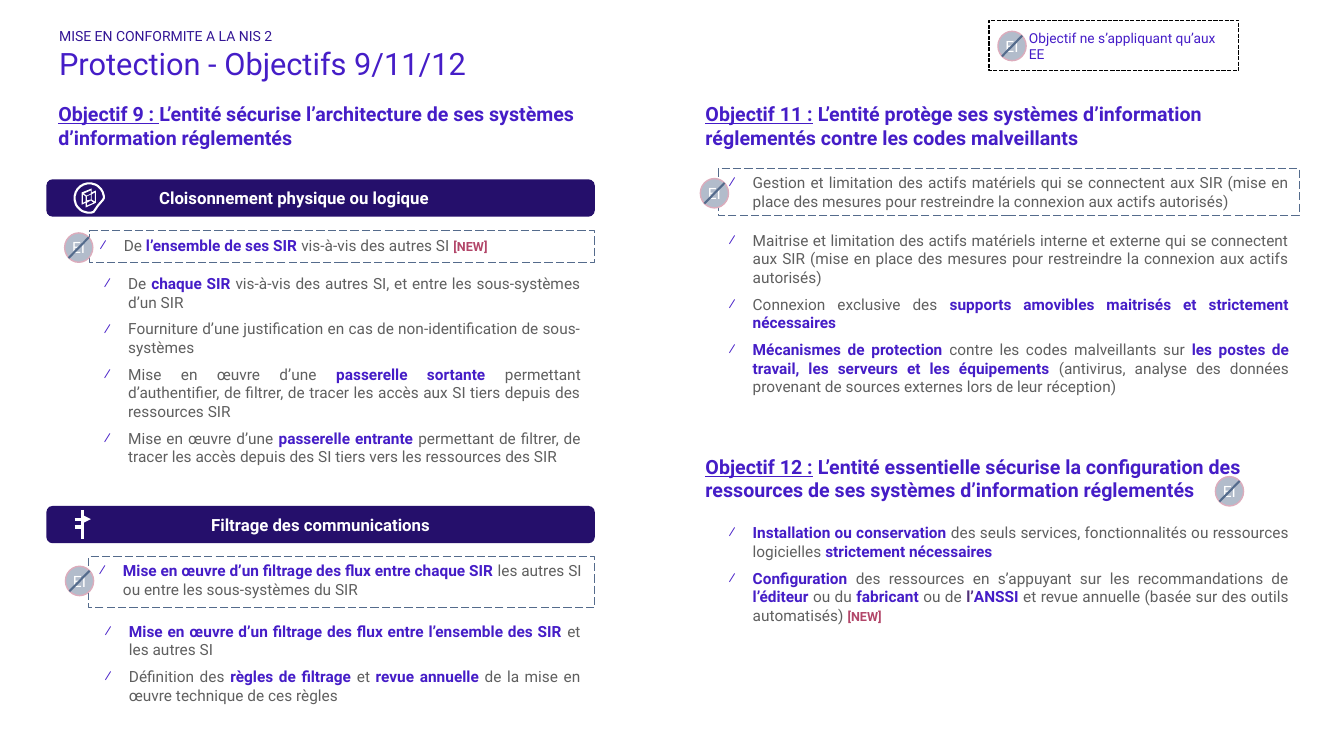
from math import cos, sin, radians
from lxml import etree
from pptx import Presentation
from pptx.dml.color import RGBColor
from pptx.enum.dml import MSO_LINE as Dash
from pptx.enum.shapes import MSO_CONNECTOR as Conn, MSO_SHAPE as Form
from pptx.enum.text import MSO_ANCHOR as Anchor, MSO_AUTO_SIZE as Fit, PP_ALIGN as Align
from pptx.oxml.ns import qn
from pptx.util import Cm, Pt

VIOLET = RGBColor(0x45, 0x1D, 0xC7)
INDIGO = RGBColor(0x33, 0x15, 0x95)
NAVY = RGBColor(0x25, 0x0F, 0x6B)
PLUM = RGBColor(0x50, 0x30, 0x78)
ROSE = RGBColor(0xB2, 0x46, 0x69)
PINK = RGBColor(0xDC, 0xAC, 0xBC)
GREY = RGBColor(0x5F, 0x5F, 0x5F)
STEEL = RGBColor(0x54, 0x6B, 0x8C)
MIST = RGBColor(0xB2, 0xBC, 0xCB)
WHITE = RGBColor(0xFF, 0xFF, 0xFF)
BLACK = RGBColor(0, 0, 0)

# Content: places are (left, top, width, height) in cm; *stars* mark bold text
TITLE = "Protection - Objectifs 9/11/12"
TOPIC = "MISE EN CONFORMITE A LA NIS 2"
LEGEND = "Objectif ne s’appliquant qu’aux EE"
HEADS = [
    ((1.17, 2.44, 13.82, 1.45), 0.3, "Objectif 9 : ",
     "L’entité sécurise l’architecture de ses systèmes d’information réglementés"),
    ((17.4, 2.44, 15.62, 1.45), 0.38, "Objectif 11 :",
     " L’entité protège ses systèmes d’information réglementés contre les codes malveillants"),
    ((17.4, 11.33, 15.75, 1.45), 0.38, "Objectif 12 :",
     " L’entité essentielle sécurise la configuration des ressources de ses "
     "systèmes d’information réglementés"),
]
BANNERS = [
    (4.52, "Cloisonnement physique ou logique", Align.LEFT),
    (12.75, "Filtrage des communications", Align.CENTER),
]
FRAMES = [
    ((2.26, 5.82, 12.73, 0.79), Align.LEFT,
     "De *l’ensemble de ses SIR *vis-à-vis des autres SI *[NEW]*"),
    ((2.24, 14.02, 12.75, 1.3), Align.LEFT,
     "*Mise en œuvre d’un filtrage des flux entre chaque SIR *les autres SI "
     "ou entre les sous-systèmes du SIR"),
    ((18.11, 4.24, 14.63, 1.19), Align.JUSTIFY,
     "Gestion et limitation des actifs matériels qui se connectent aux SIR (mise en "
     "place des mesures pour restreindre la connexion aux actifs autorisés)"),
]
LISTS = [
    ((2.24, 6.78, 12.78, 4.65), 0.38, [
        "De *chaque SIR *vis-à-vis des autres SI, et entre les sous-systèmes d’un SIR",
        "Fourniture d’une justification en cas de non-identification de sous-systèmes",
        "Mise en œuvre d’une *passerelle sortante *permettant d’authentifier, de filtrer, "
        "de tracer les accès aux SI tiers depuis des ressources SIR",
        "Mise en œuvre d’une *passerelle entrante *permettant de filtrer, de tracer "
        "les accès depuis des SI tiers vers les ressources des SIR"]),
    ((2.26, 15.54, 12.75, 2.36), 0.38, [
        "*Mise en œuvre d’un filtrage des flux entre l’ensemble des SIR *et les autres SI",
        "Définition des *règles de filtrage *et *revue annuelle *de la mise en œuvre "
        "technique de ces règles"]),
    ((18.11, 5.69, 14.63, 4.45), 0.25, [
        "Maitrise et limitation des actifs matériels interne et externe qui se connectent "
        "aux SIR (mise en place des mesures pour restreindre la connexion aux actifs "
        "autorisés)",
        "Connexion exclusive des *supports amovibles maitrisés et strictement nécessaires*",
        "*Mécanismes de protection *contre les codes malveillants sur *les postes de "
        "travail, les serveurs et les équipements *(antivirus, analyse des données "
        "provenant de sources externes lors de leur réception)"]),
    ((18.11, 13.06, 14.63, 2.9), 0.25, [
        "*Installation ou conservation *des seuls services, fonctionnalités ou ressources "
        "logicielles *strictement nécessaires*",
        "*Configuration *des ressources en s’appuyant sur les recommandations de "
        "*l’éditeur *ou du *fabricant *ou de *l’**ANSSI *et revue annuelle (basée sur "
        "des outils automatisés) *[NEW]*"]),
]
SPECIAL = {"[NEW]": (9, ROSE), "l’": (11, PLUM)}
BADGES = [(1.63, 5.87), (1.65, 14.27), (17.65, 4.5), (30.63, 12.01), (25.15, 0.79)]
# Icon outlines, in hundredths of a cm
CUBE = [
    [(25, 10), (25, 0), (0, 10), (0, 41), (10, 36), (10, 48), (36, 36), (36, 5)],
    [(33, 10), (33, 33), (25, 28), (25, 15)],
    [(23, 13), (13, 18), (5, 13), (23, 5)],
    [(23, 15), (23, 28), (13, 30), (13, 20)],
    [(3, 36), (3, 15), (10, 20), (10, 33)],
    [(13, 36), (23, 30), (30, 36), (13, 43)],
]
RING = [[(37 * cos(radians(a)), 37 * sin(radians(a))) for a in range(0, -293, -6)]
        + [(22, 19), (35, 4)]]
POST = [(2.08, 12.85, 2.08, 13.06), (2.08, 13.13, 2.08, 13.59), (1.88, 13.28, 2.08, 13.28)]
ARROW = (1.88, 13.08, 2.29, 13.08)

deck = Presentation()
deck.slide_width, deck.slide_height = Cm(33.87), Cm(19.05)
slide = deck.slides.add_slide(deck.slide_layouts[1])
shapes = slide.shapes


def cms(*vals):
    return [Cm(v) for v in vals]


def setup(frame, side=0.25, edge=0.13, **more):
    vals = dict(word_wrap=True, auto_size=Fit.NONE, vertical_anchor=Anchor.TOP,
                margin_left=Cm(side), margin_right=Cm(side),
                margin_top=Cm(edge), margin_bottom=Cm(edge))
    for key, val in (vals | more).items():
        setattr(frame, key, val)
    return frame


def add_run(para, text, size, color, **more):
    run = para.add_run()
    run.text = text
    for key, val in dict(name="Roboto", size=Pt(size), **more).items():
        setattr(run.font, key, val)
    run.font.color.rgb = color


def add_text(place, side, edge=0.13, **more):
    box = shapes.add_textbox(*cms(*place))
    return setup(box.text_frame, side, edge, **more)


def paint(shape, fill=None, line=None, width=1, dash=None):
    shape.shadow.inherit = False
    if fill is None:
        shape.fill.background()
    else:
        shape.fill.solid()
        shape.fill.fore_color.rgb = fill
    if line is None:
        shape.line.fill.background()
    else:
        shape.line.color.rgb = line
        shape.line.width = Pt(width)
        if dash:
            shape.line.dash_style = dash
    return shape


def add_line(home, ends, color, width):
    line = home.add_connector(Conn.STRAIGHT, *cms(*ends))
    line.line.color.rgb = color
    line.line.width = Pt(width)
    etree.SubElement(line._element.spPr, qn("a:effectLst"))
    return line


def add_items(frame, items, align, after):
    for i, item in enumerate(items):
        para = frame.add_paragraph() if i else frame.paragraphs[0]
        para.alignment, para.space_after = align, Pt(after)
        props = para._p.get_or_add_pPr()
        props.set("marL", str(Cm(0.61)))
        props.set("indent", str(-Cm(0.61)))
        tint = etree.SubElement(props, qn("a:buClr"))
        etree.SubElement(tint, qn("a:srgbClr"), val=str(VIOLET))
        etree.SubElement(props, qn("a:buFont"), typeface="Roboto")
        etree.SubElement(props, qn("a:buChar"), char="⁄")
        for k, part in enumerate(item.split("*")):
            if part:
                bold = k % 2 == 1
                size, color = SPECIAL.get(part, (11, VIOLET if bold else GREY))
                add_run(para, part, size, color, bold=bold)


def draw_path(rings, left, top):
    pen = shapes.build_freeform(*rings[0][0], scale=Cm(0.01))
    pen.add_line_segments(rings[0][1:], close=True)
    for ring in rings[1:]:
        pen.move_to(*ring[0])
        pen.add_line_segments(ring[1:], close=True)
    return pen.convert_to_shape(*cms(left, top))


# Title and topic placeholders
for holder, text, place, anchor, size, color in [
        (shapes.title, TITLE, (1.19, 1.12, 31.5, 2.59), Anchor.TOP, 22, VIOLET),
        (slide.placeholders[1], TOPIC, (1.19, 0.41, 31.5, 0.71), Anchor.BOTTOM, 10, INDIGO)]:
    holder.left, holder.top, holder.width, holder.height = cms(*place)
    para = setup(holder.text_frame, 0.3, 0, vertical_anchor=anchor).paragraphs[0]
    para.alignment, para.space_before = Align.LEFT, Pt(0)
    props = para._p.get_or_add_pPr()
    props.set("marL", "0")
    props.set("indent", "0")
    etree.SubElement(props, qn("a:buNone"))
    add_run(para, text, size, color)

# Objective headings
for place, side, label, text in HEADS:
    para = add_text(place, side).paragraphs[0]
    add_run(para, label, 14, VIOLET, bold=True, underline=True)
    add_run(para, text, 14, VIOLET, bold=True, underline=False)

# Banners
for top, text, align in BANNERS:
    paint(shapes.add_shape(Form.ROUNDED_RECTANGLE, *cms(1.17, top, 13.82, 0.94)), NAVY)
    para = add_text((3.63, top + 0.08, 8.9, 0.76), 0.38).paragraphs[0]
    para.alignment = align
    add_run(para, text, 12, WHITE, bold=True)

# Dashed frames and lists
for place, align, item in FRAMES:
    box = paint(shapes.add_shape(Form.RECTANGLE, *cms(*place)), None, STEEL, 0.75, Dash.LONG_DASH)
    add_items(setup(box.text_frame), [item], align, 3.7)
for place, side, items in LISTS:
    add_items(add_text(place, side), items, Align.JUSTIFY, 6)

# Legend
paint(shapes.add_shape(Form.RECTANGLE, *cms(24.92, 0.51, 6.3, 1.27)), None, BLACK, 1,
      Dash.SQUARE_DOT)
para = add_text((25.55, 0.79, 5.94, 0.74), 0.38, 0.15, vertical_anchor=Anchor.MIDDLE).paragraphs[0]
add_run(para, LEGEND, 9.8, VIOLET)

# Crossed-out badges
for x, y in BADGES:
    group = shapes.add_group_shape().shapes
    disc = paint(group.add_shape(Form.OVAL, *cms(x, y, 0.71, 0.74)), MIST, PINK)
    frame = setup(disc.text_frame, 0, 0, word_wrap=False, vertical_anchor=Anchor.MIDDLE)
    frame.paragraphs[0].alignment = Align.CENTER
    add_run(frame.paragraphs[0], "EI", 11.1, WHITE)
    add_line(group, (x + 0.61, y + 0.11, x + 0.1, y + 0.63), STEEL, 1.5)

# Banner icons: cube in a ring, signpost
paint(draw_path(RING, 2.25, 4.99), None, WHITE, 1.5)
paint(draw_path(CUBE, 2.06, 4.75), WHITE)
for ends in POST:
    add_line(shapes, ends, WHITE, 2.25)
arrow = add_line(shapes, ARROW, WHITE, 2.25)
etree.SubElement(arrow.line._get_or_add_ln(), qn("a:tailEnd"), type="triangle")

deck.save("out.pptx")
